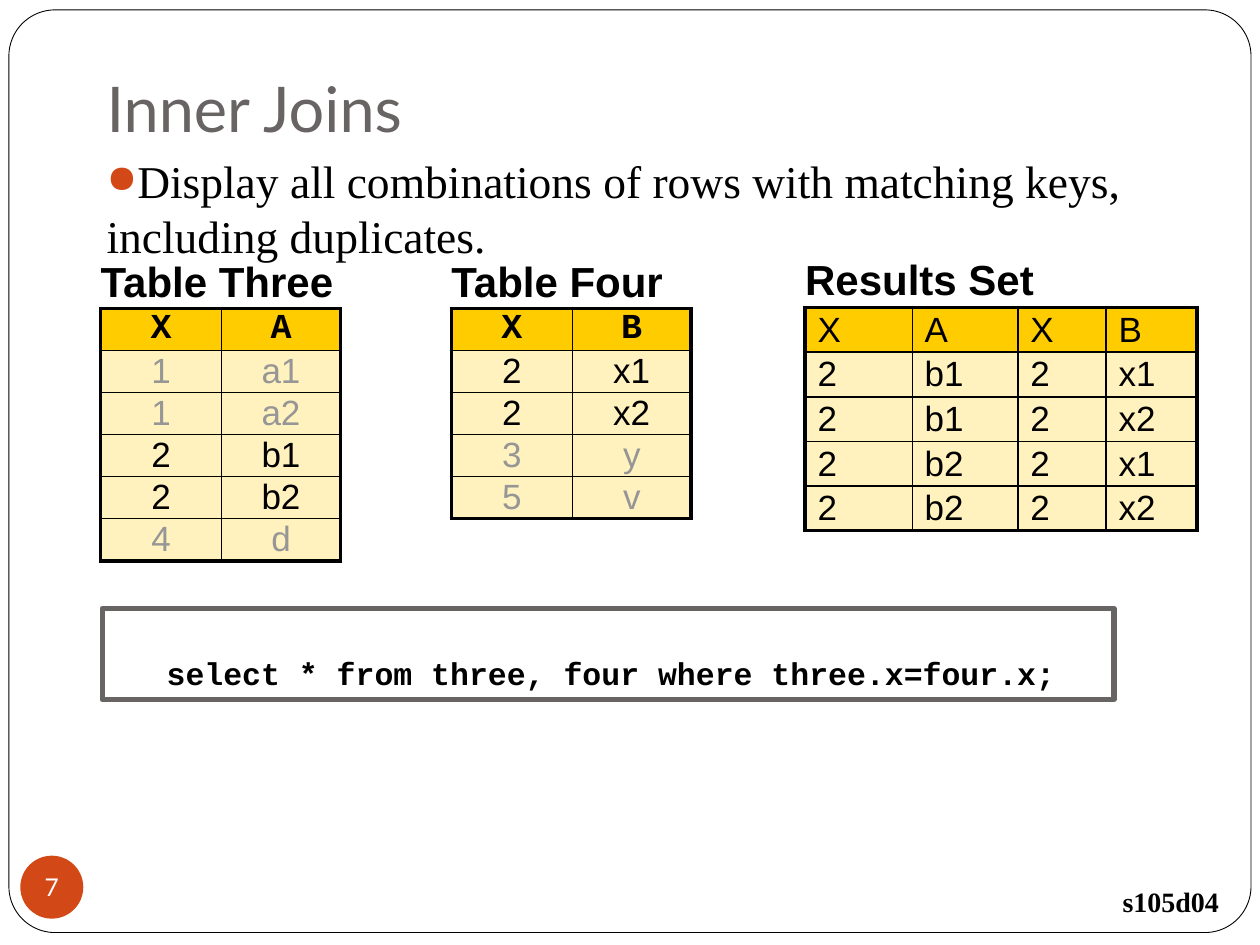
from lxml.etree import SubElement
from pptx import Presentation
from pptx.dml.color import RGBColor
from pptx.enum.shapes import MSO_SHAPE as Shape
from pptx.enum.text import MSO_ANCHOR as Anchor, PP_ALIGN as Align
from pptx.oxml import parse_xml
from pptx.oxml.ns import nsdecls, qn
from pptx.util import Cm, Pt

BLACK = RGBColor(0x00, 0x00, 0x00)
WHITE = RGBColor(0xFF, 0xFF, 0xFF)
GREY = RGBColor(0x69, 0x64, 0x64)
MUTED = RGBColor(0x96, 0x96, 0x96)
ORANGE = RGBColor(0xD3, 0x48, 0x17)
GOLD = RGBColor(0xFF, 0xCC, 0x00)
CREAM = RGBColor(0xFF, 0xF2, 0xBE)
THICK, THIN = 2.25, 1


def write(frame, text, size, font, color, bold=False, align=Align.LEFT):
    frame.text = text
    para = frame.paragraphs[0]
    para.alignment = align
    span = para.runs[0].font
    span.size, span.name, span.bold = Pt(size), font, bold
    span.color.rgb = color
    return para


def set_margins(frame, left, top, right, bottom):
    frame.margin_left, frame.margin_top = Cm(left), Cm(top)
    frame.margin_right, frame.margin_bottom = Cm(right), Cm(bottom)


def add_text_box(page, left, top, width, height, anchor=Anchor.TOP):
    box = page.shapes.add_textbox(Cm(left), Cm(top), Cm(width), Cm(height))
    frame = box.text_frame
    frame.word_wrap = True
    frame.vertical_anchor = anchor
    return frame


def add_plain_shape(page, kind, left, top, width, height, fill, line=None, weight=1):
    shape = page.shapes.add_shape(kind, Cm(left), Cm(top), Cm(width), Cm(height))
    shape.shadow.inherit = False
    shape.fill.solid()
    shape.fill.fore_color.rgb = fill
    if line is None:
        shape.line.fill.background()
    else:
        shape.line.color.rgb = line
        shape.line.width = Pt(weight)
    return shape


def add_frame(page, left, top, width, height):
    frame = add_plain_shape(page, Shape.ROUNDED_RECTANGLE, left, top, width, height,
                            WHITE, BLACK, 0.5)
    frame.adjustments[0] = 0.05


def add_title(page, left, top, width, height):
    frame = add_text_box(page, left, top, width, height, Anchor.BOTTOM)
    set_margins(frame, 0.25, 0.13, 0.25, 0.25)
    write(frame, "Inner Joins", 36, "Lato", GREY)


def add_summary(page, left, top, width, height):
    frame = add_text_box(page, left, top, width, height)
    para = write(frame, "Display all combinations of rows with matching keys, "
                 "including duplicates.", 26, "Times New Roman", BLACK)
    para.space_before = Pt(5.8)
    properties = para._p.get_or_add_pPr()
    color = SubElement(properties, qn("a:buClr"))
    SubElement(color, qn("a:srgbClr"), val=str(ORANGE))
    SubElement(properties, qn("a:buSzPct"), val="85000")
    SubElement(properties, qn("a:buChar"), char="●")


def set_borders(cell, left, right, top, bottom):
    properties = cell._tc.get_or_add_tcPr()
    weights = {"lnL": left, "lnR": right, "lnT": top, "lnB": bottom}
    for index, (edge, weight) in enumerate(weights.items()):
        paint = (f'<a:solidFill><a:srgbClr val="{BLACK}"/></a:solidFill>'
                 if weight else "<a:noFill/>")
        properties.insert(index, parse_xml(
            f'<a:{edge} {nsdecls("a")} w="{Pt(weight)}">{paint}</a:{edge}>'))


def add_join_table(page, left, top, widths, heights, caption, rows,
                   muted_keys=(), header_font="Courier New", header_bold=True,
                   align=Align.CENTER):
    last_row, last_column = len(rows), len(widths) - 1
    table = page.shapes.add_table(last_row + 1, len(widths), Cm(left), Cm(top),
                                  Cm(sum(widths)), Cm(sum(heights))).table
    table.first_row = table.horz_banding = False
    for column, width in zip(table.columns, widths):
        column.width = Cm(width)
    for row, height in zip(table.rows, heights):
        row.height = Cm(height)

    for cell in table.rows[0].cells:
        cell.fill.background()
        set_borders(cell, 0, 0, 0, THICK)
    title = table.cell(0, 0)
    title.merge(table.cell(0, last_column))
    set_margins(title, 0, 0, 0, 0)
    title.vertical_anchor = Anchor.MIDDLE
    write(title.text_frame, caption, 24, "Arial", BLACK, True)

    for r, values in enumerate(rows, start=1):
        header = r == 1
        for c, value in enumerate(values):
            cell = table.cell(r, c)
            cell.fill.solid()
            cell.fill.fore_color.rgb = GOLD if header else CREAM
            set_borders(cell, THICK if c == 0 else THIN,
                        THICK if c == last_column else THIN,
                        THICK if header else THIN,
                        THICK if r == last_row else THIN)
            set_margins(cell, 0.25, 0, 0.25, 0)
            cell.vertical_anchor = Anchor.MIDDLE
            write(cell.text_frame, value, 20, header_font if header else "Arial",
                  MUTED if values[0] in muted_keys else BLACK,
                  header and header_bold, align)


def add_page_number(page, left, top, size):
    circle = add_plain_shape(page, Shape.OVAL, left, top, size, size, ORANGE)
    frame = circle.text_frame
    frame.word_wrap = False
    frame.vertical_anchor = Anchor.MIDDLE
    set_margins(frame, 0, 0, 0, 0)
    write(frame, "7", 14, "Lato", WHITE, align=Align.CENTER)


def add_query(page, left, top, width, height):
    box = add_plain_shape(page, Shape.RECTANGLE, left, top, width, height, WHITE, GREY, 3)
    frame = box.text_frame
    frame.vertical_anchor = Anchor.BOTTOM
    set_margins(frame, 1.3, 0.15, 0.15, 0.15)
    write(frame, "select * from three, four where three.x=four.x;",
          18, "Courier New", BLACK, True)


def add_file_label(page, left, top, width, height):
    frame = add_text_box(page, left, top, width, height)
    frame.word_wrap = False
    set_margins(frame, 0.25, 0.25, 0.25, 0.25)
    write(frame, "s105d04", 16, "Times New Roman", BLACK, True, Align.RIGHT)


def main():
    deck = Presentation()
    deck.slide_width, deck.slide_height = Cm(25.4), Cm(19.05)
    page = deck.slides.add_slide(deck.slide_layouts[6])
    add_frame(page, 0.18, 0.2, 25.04, 18.6)
    add_title(page, 1.9, 1.27, 23.5, 1.9)
    add_summary(page, 1.9, 2.97, 21.64, 2.24)
    add_join_table(page, 2.03, 5.2, [2.44, 2.39],
                   [0.95, 0.8, 0.79, 0.79, 0.84, 0.84, 0.78], "Table Three",
                   [("X", "A"), ("1", "a1"), ("1", "a2"), ("2", "b1"),
                    ("2", "b2"), ("4", "d")], muted_keys=("1", "4"))
    add_join_table(page, 9.1, 5.2, [2.44, 2.39],
                   [0.97, 0.8, 0.79, 0.79, 0.84, 0.84], "Table Four",
                   [("X", "B"), ("2", "x1"), ("2", "x2"), ("3", "y"), ("5", "v")],
                   muted_keys=("3", "5"))
    add_page_number(page, 0.41, 17.25, 1.27)
    add_query(page, 2.06, 12.27, 20.4, 1.83)
    matches = [("2", b, "2", x) for b in ("b1", "b2") for x in ("x1", "x2")]
    add_join_table(page, 16.23, 5.13, [2.16, 2.13, 1.78, 1.83], [1.07] + [0.9] * 5,
                   "Results Set", [("X", "A", "X", "B")] + matches,
                   header_font="Arial", header_bold=False, align=Align.LEFT)
    add_file_label(page, 22.1, 17.58, 2.72, 1.17)
    deck.save("out.pptx")


if __name__ == "__main__":
    main()
